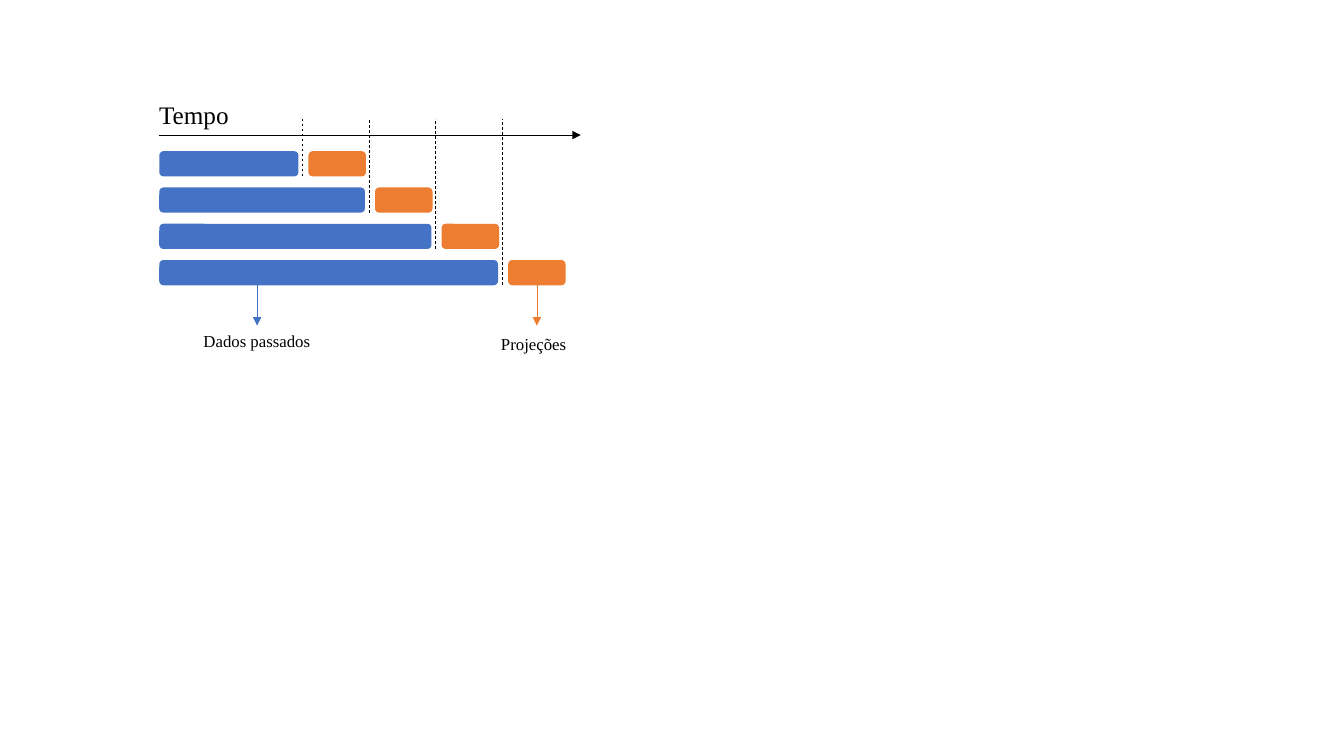
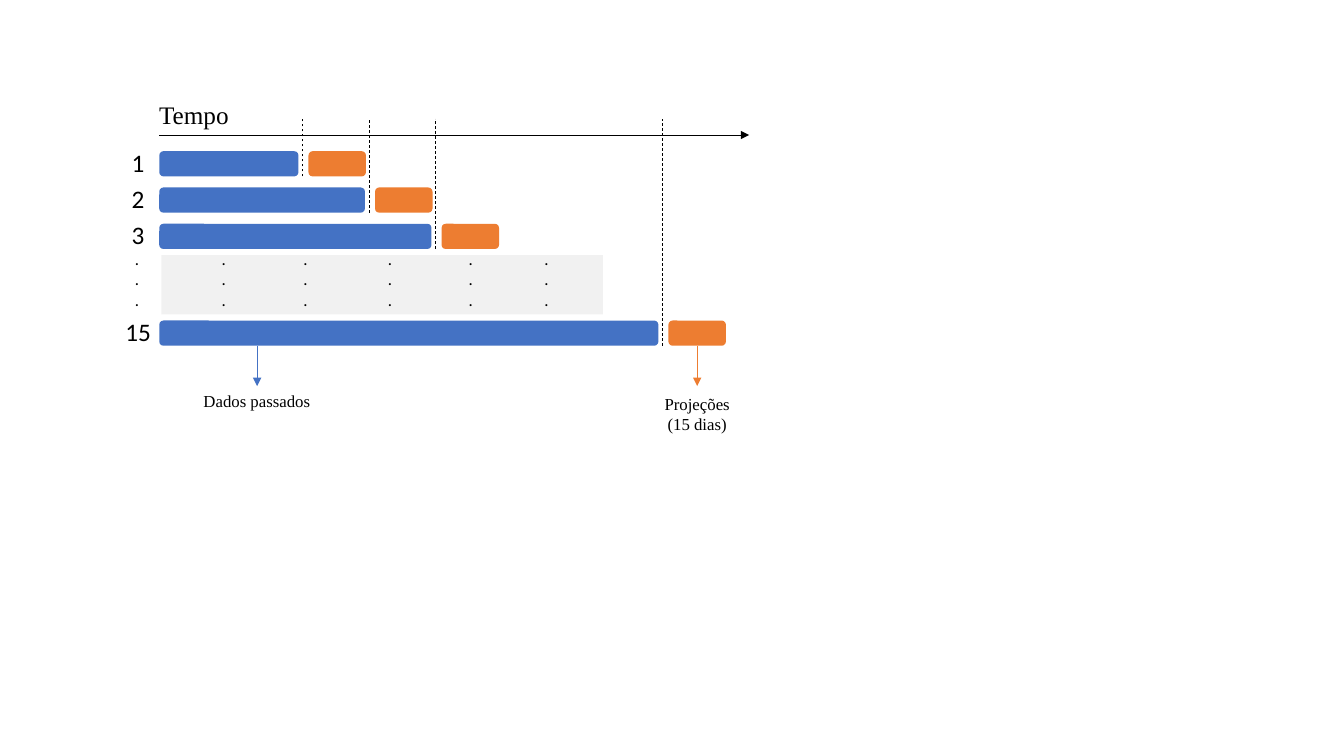
from dataclasses import dataclass

import pptx
import pptx.dml.color
import pptx.enum.dml
import pptx.enum.shapes
import pptx.enum.text
import pptx.oxml
import pptx.oxml.ns
import pptx.util

Inches = pptx.util.Inches
Shape = pptx.enum.shapes.MSO_SHAPE
Align = pptx.enum.text.PP_ALIGN

COLORS = {"ink": "000000", "past": "4472C4", "future": "ED7D31", "gap": "D9D9D9"}
SERIF, SANS = "Times New Roman", "Calibri"

BAR_LEFT, BAR_HEIGHT, FUTURE_WIDTH = 1.58, 0.25, 0.57
FIRST_TOP, ROW_STEP = 1.5, 0.36
FIRST_CUT, CUT_STEP = 3.0, 0.66
AXIS_Y, CUT_TOP = 1.34, 1.18
PAST_ARROW_X, ARROW_LENGTH = 2.55, 0.4
DOT_LEFTS = (1.24, 2.1, 2.91, 3.75, 4.55, 5.3)


@dataclass
class Row:
    """One split of the series: past data before the cut, projection after it."""
    top: float
    cut: float
    number: str = ""


@dataclass
class Timeline:
    axis_end: float
    rows: list[Row]
    projection: str
    projection_align: Align
    skipped_rows: bool = False


def rgb(color: str) -> pptx.dml.color.RGBColor:
    return pptx.dml.color.RGBColor.from_string(COLORS[color])


def add_box(s, kind: Shape, color: str, left: float, top: float, width: float, height: float):
    sp = s.shapes.add_shape(kind, Inches(left), Inches(top), Inches(width), Inches(height))
    sp.shadow.inherit = False
    sp.fill.solid()
    sp.fill.fore_color.rgb = rgb(color)
    sp.line.fill.background()
    return sp


def add_line(s, x1: float, y1: float, x2: float, y2: float, color: str = "ink",
             arrow: bool = False, dashed: bool = False):
    cxn = s.shapes.add_connector(pptx.enum.shapes.MSO_CONNECTOR.STRAIGHT,
                                 Inches(x1), Inches(y1), Inches(x2), Inches(y2))
    cxn.line.color.rgb = rgb(color)
    cxn.line.width = pptx.util.Pt(0.5)
    if dashed:
        cxn.line.dash_style = pptx.enum.dml.MSO_LINE.DASH
    sp_pr = cxn._element.spPr
    if arrow:
        tail = pptx.oxml.parse_xml(
            f'<a:tailEnd {pptx.oxml.ns.nsdecls("a")} type="triangle"/>')
        sp_pr.find(pptx.oxml.ns.qn("a:ln")).append(tail)
    sp_pr.append(pptx.oxml.parse_xml(f'<a:effectLst {pptx.oxml.ns.nsdecls("a")}/>'))
    return cxn


def add_text(s, lines: list[str], left: float, top: float, width: float, height: float,
             size: int, font: str = SERIF, align: Align = Align.LEFT) -> None:
    tf = s.shapes.add_textbox(Inches(left), Inches(top), Inches(width), Inches(height)).text_frame
    tf.word_wrap = True
    tf.auto_size = pptx.enum.text.MSO_AUTO_SIZE.SHAPE_TO_FIT_TEXT
    for i, line in enumerate(lines):
        p = tf.add_paragraph() if i else tf.paragraphs[0]
        p.alignment = align
        r = p.add_run()
        r.text = line
        r.font.name = font
        r.font.size = pptx.util.Pt(size)
        r.font.color.rgb = rgb("ink")


def add_row(s, row: Row):
    """Draw both bars, the dashed cut and the number; return the projection bar."""
    add_box(s, Shape.ROUNDED_RECTANGLE, "past", BAR_LEFT, row.top,
            row.cut - 0.04 - BAR_LEFT, BAR_HEIGHT)
    future = add_box(s, Shape.ROUNDED_RECTANGLE, "future", row.cut + 0.06, row.top,
                     FUTURE_WIDTH, BAR_HEIGHT)
    add_line(s, row.cut, row.top + BAR_HEIGHT, row.cut, CUT_TOP, dashed=True)
    if row.number:
        add_text(s, [row.number], 1.11, row.top - 0.09, 0.52, 0.4, 18, SANS, Align.CENTER)
    return future


def add_skipped_rows(s) -> None:
    """Draw the pale band with columns of dots that stands for the omitted rows."""
    band = add_box(s, Shape.RECTANGLE, "gap", 1.6, 2.53, 4.38, 0.59)
    color = band._element.spPr.find(".//" + pptx.oxml.ns.qn("a:srgbClr"))
    color.append(pptx.oxml.parse_xml(
        f'<a:alpha {pptx.oxml.ns.nsdecls("a")} val="36000"/>'))
    for left in DOT_LEFTS:
        add_text(s, ["."] * 3, left, 2.42, 0.26, 0.71, 12, SANS)


def add_timeline(prs, timeline: Timeline) -> None:
    s = prs.slides.add_slide(prs.slide_layouts[6])
    if timeline.skipped_rows:
        add_skipped_rows(s)
    add_line(s, BAR_LEFT, AXIS_Y, timeline.axis_end, AXIS_Y, arrow=True)
    add_text(s, ["Tempo"], 1.48, 0.94, 1, 0.4, 18)
    futures = [add_row(s, row) for row in timeline.rows]

    last = timeline.rows[-1]
    bottom = last.top + BAR_HEIGHT
    label_top = bottom + ARROW_LENGTH
    future_x = last.cut + 0.06 + FUTURE_WIDTH / 2
    add_line(s, PAST_ARROW_X, bottom, PAST_ARROW_X, label_top, "past", arrow=True)
    arrow = add_line(s, future_x, bottom, future_x, label_top, "future", arrow=True)
    arrow.begin_connect(futures[-1], 2)
    add_text(s, ["Dados passados"], 1.92, label_top, 1.36, 0.3, 12)
    add_text(s, [timeline.projection], future_x - 0.455, label_top + 0.03, 0.91, 0.3, 12,
             align=timeline.projection_align)


def regular_rows(count: int, numbered: bool = False) -> list[Row]:
    return [Row(FIRST_TOP + i * ROW_STEP, FIRST_CUT + i * CUT_STEP,
                str(i + 1) if numbered else "") for i in range(count)]


def main() -> None:
    prs = pptx.Presentation()
    prs.slide_width, prs.slide_height = Inches(13.33), Inches(7.5)
    add_timeline(prs, Timeline(5.76, regular_rows(4), "Projeções", Align.LEFT))
    add_timeline(prs, Timeline(7.43, regular_rows(3, numbered=True) + [Row(3.18, 6.57, "15")],
                               "Projeções (15 dias)", Align.CENTER, skipped_rows=True))
    prs.save("out.pptx")


if __name__ == "__main__":
    main()
